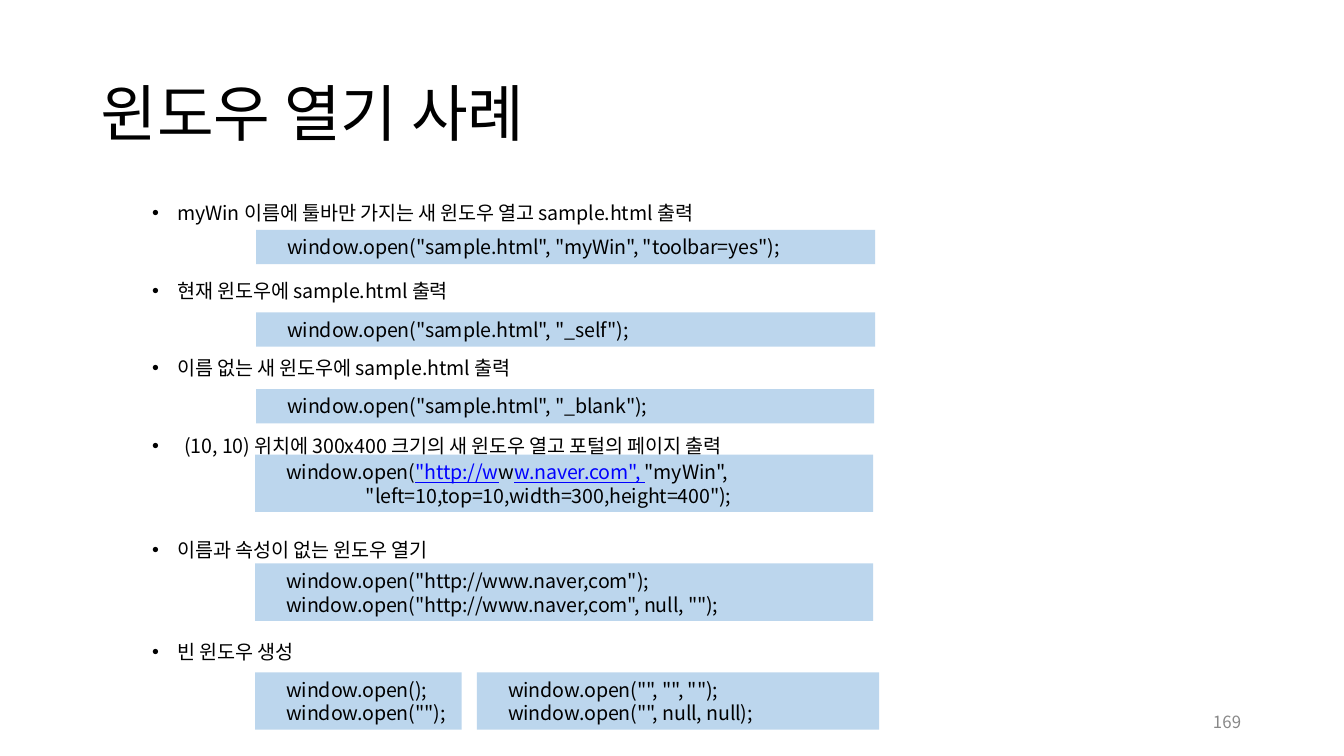
"""Build a slide with window.open examples and their code boxes."""
from lxml import etree
from pptx import Presentation
from pptx.dml.color import RGBColor
from pptx.enum import shapes, text
from pptx.oxml import ns
from pptx.util import Inches, Pt

FONT = "Noto Sans CJK KR"
BLACK, GRAY, LINK, PALE_BLUE = "000000", "888888", "0000FF", "BCD6ED"
LINE = 17
TITLE = "윈도우 열기 사례"
PAGE_NUMBER = "169"

CASES = [
    (1.98, 0.26, "myWin 이름에 툴바만 가지는 새 윈도우 열고 sample.html 출력"),
    (2.75, 0.26, "현재 윈도우에 sample.html 출력"),
    (3.52, 0.26, "이름 없는 새 윈도우에 sample.html 출력"),
    (4.29, 0.33, "(10, 10) 위치에 300x400 크기의 새 윈도우 열고 포털의 페이지 출력"),
    (5.32, 0.26, "이름과 속성이 없는 윈도우 열기"),
    (6.34, 0.26, "빈 윈도우 생성"),
]

LINKED_CALL = [
    ("window.open(", False), ('"http://w', True), ("w", False),
    ('w.naver.com", ', True), ('"myWin",', False),
]

CODE = [
    (2.54, 2.28, 6.14, [(0, [('window.open("sample.html", "myWin", "toolbar=yes");', False)])]),
    (2.54, 3.1, 6.14, [(0, [('window.open("sample.html", "_self");', False)])]),
    (2.54, 3.86, 6.13, [(0, [('window.open("sample.html", "_blank");', False)])]),
    (2.53, 4.51, 6.13, [(0, LINKED_CALL),
                        (0.79, [('"left=10,top=10,width=300,height=400");', False)])]),
    (2.53, 5.59, 6.13, [(0, [('window.open("http://www.naver,com");', False)]),
                        (0, [('window.open("http://www.naver,com", null, "");', False)])]),
    (2.53, 6.67, 2.05, [(0, [("window.open();", False)]),
                        (0, [('window.open("");', False)])]),
    (4.73, 6.67, 3.99, [(0, [('window.open("", "", "");', False)]),
                        (0, [('window.open("", null, null);', False)])]),
]


def color(value):
    return RGBColor.from_string(value)


def write(para, words, size=14, fill=BLACK, underline=False, spacing=-10):
    span = para.add_run()
    span.text = words
    span.font.size = Pt(size)
    span.font.color.rgb = color(fill)
    span.font.underline = underline
    span.font.name = FONT
    properties = span._r.get_or_add_rPr()
    properties.set("spc", str(spacing))
    etree.SubElement(properties, ns.qn("a:ea"), typeface=FONT)


def indent(para, left, first=0):
    properties = para._p.get_or_add_pPr()
    properties.set("marL", str(Inches(left)))
    properties.set("indent", str(Inches(first)))
    return properties


def place(box, left, top, width, height):
    box.left, box.top = Inches(left), Inches(top)
    box.width, box.height = Inches(width), Inches(height)


def prepare(box, left=0, top=0.01):
    frame = box.text_frame
    frame.margin_left, frame.margin_top = Inches(left), Inches(top)
    frame.margin_right = frame.margin_bottom = 0
    frame.vertical_anchor = text.MSO_ANCHOR.TOP
    frame.auto_size = text.MSO_AUTO_SIZE.NONE
    frame.word_wrap = True
    return frame


def next_para(frame, index, line=LINE, before=0):
    para = frame.add_paragraph() if index else frame.paragraphs[0]
    para.alignment = text.PP_ALIGN.LEFT
    para.line_spacing = Pt(line)
    para.space_before = Pt(before)
    para.space_after = Pt(0)
    return para


def add_cases(box):
    first_top = CASES[0][0]
    place(box, 1.5, first_top, 7, CASES[-1][0] + 0.26 - first_top)
    frame = prepare(box)
    previous = first_top
    for index, (top, left, words) in enumerate(CASES):
        before = (top - previous) * 72 - LINE if index else 0
        para = next_para(frame, index, before=round(before, 1))
        properties = indent(para, left, 0.01 - left)
        etree.SubElement(properties, ns.qn("a:buFont"), typeface="Arial")
        etree.SubElement(properties, ns.qn("a:buChar"), char="•")
        write(para, words)
        previous = top


def add_code(page, left, top, width, lines):
    box = page.shapes.add_shape(shapes.MSO_SHAPE.RECTANGLE, 0, 0, 0, 0)
    place(box, left, top, width, 0.11 + 0.23 * len(lines))
    box.shadow.inherit = False
    box.fill.solid()
    box.fill.fore_color.rgb = color(PALE_BLUE)
    box.line.fill.background()
    frame = prepare(box, left=0.31, top=0.05)
    for index, (offset, spans) in enumerate(lines):
        para = next_para(frame, index)
        indent(para, offset)
        for words, linked in spans:
            write(para, words, fill=LINK if linked else BLACK, underline=linked)


def main():
    deck = Presentation()
    deck.slide_width, deck.slide_height = Inches(13.33), Inches(7.5)
    page = deck.slides.add_slide(deck.slide_layouts[1])

    title = page.shapes.title
    place(title, 1, 0.7, 4.74, 0.76)
    write(next_para(prepare(title), 0, line=55), TITLE, size=44)

    add_cases(page.placeholders[1])
    for item in CODE:
        add_code(page, *item)

    number = page.shapes.add_textbox(0, 0, 0, 0)
    place(number, 12.03, 7.04, 0.4, 0.23)
    write(next_para(prepare(number), 0, line=15), PAGE_NUMBER, size=12, fill=GRAY, spacing=10)
    deck.save("out.pptx")


if __name__ == "__main__":
    main()
